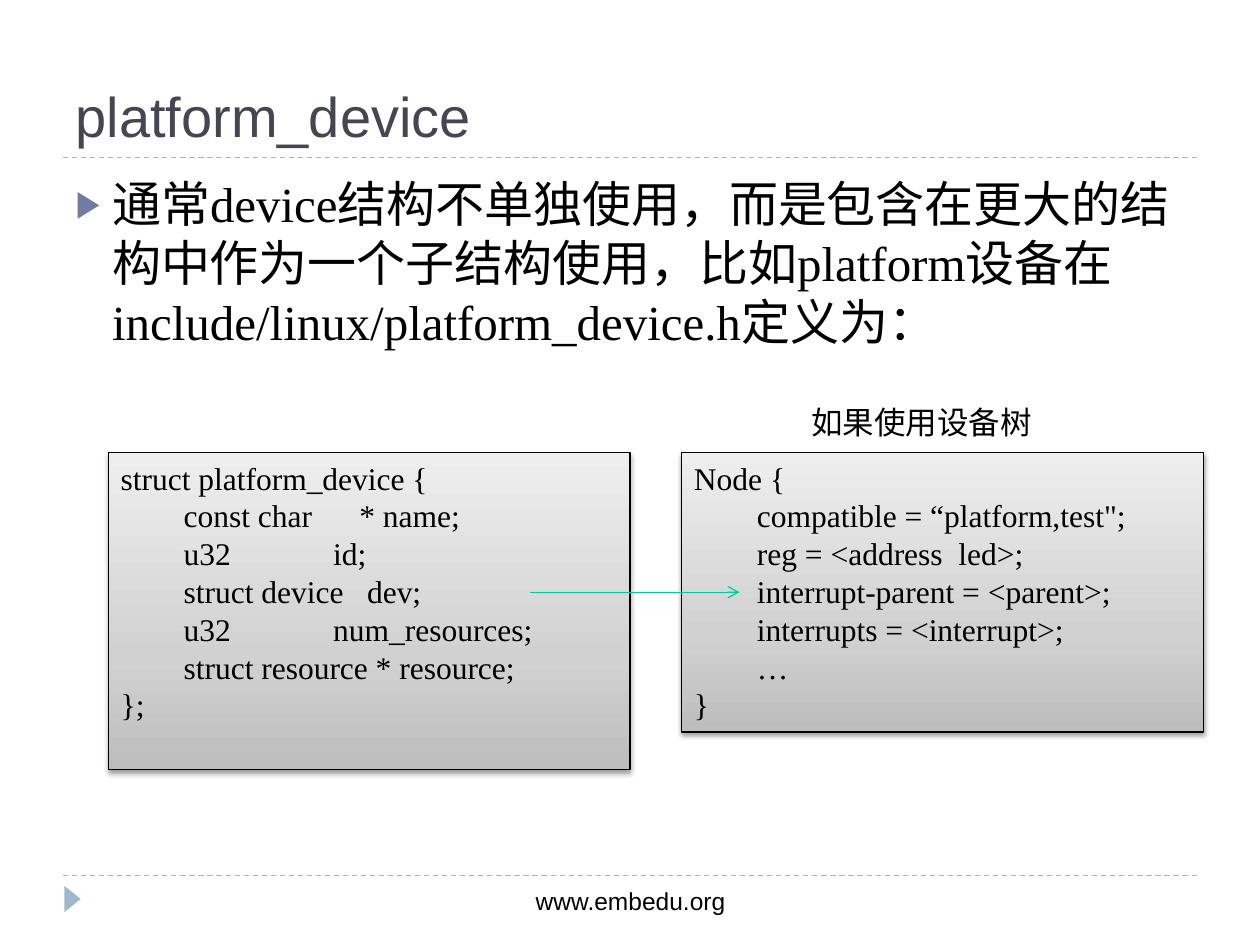
import pptx
import pptx.dml.color
import pptx.enum.dml
import pptx.enum.shapes
import pptx.enum.text
import pptx.oxml
import pptx.oxml.ns
import pptx.util

Inches = pptx.util.Inches
Pt = pptx.util.Pt
RGBColor = pptx.dml.color.RGBColor
SHAPE = pptx.enum.shapes.MSO_SHAPE
LINE = pptx.enum.shapes.MSO_CONNECTOR.STRAIGHT
ALIGN = pptx.enum.text.PP_ALIGN
ANCHOR = pptx.enum.text.MSO_ANCHOR
FIT = pptx.enum.text.MSO_AUTO_SIZE

BLACK = RGBColor(0x00, 0x00, 0x00)
SLATE = RGBColor(0x46, 0x46, 0x53)
PALE = RGBColor(0x9F, 0xB8, 0xCD)
GREEN = RGBColor(0x00, 0xCC, 0x99)
BULLET = RGBColor(0x72, 0x7C, 0xA3)
SHADES = [(0, RGBColor(0xBD, 0xBD, 0xBD)), (35, RGBColor(0xD1, 0xD1, 0xD1)),
          (100, RGBColor(0xEE, 0xEE, 0xEE))]

TITLE = "platform_device"
BODY = ("通常device结构不单独使用，而是包含在更大的结构中作为一个子结构使用，"
        "比如platform设备在include/linux/platform_device.h定义为：")
NOTE = "如果使用设备树"
SITE = "www.embedu.org"
STRUCT = [
    "struct platform_device {",
    "        const char      * name;",
    "        u32             id;",
    "        struct device   dev;",
    "\tu32             num_resources;",
    "        struct resource * resource;",
    "};",
]
NODE = [
    "Node {",
    "\tcompatible = “platform,test\";",
    "\treg = <address  led>;",
    "\tinterrupt-parent = <parent>;",
    "\tinterrupts = <interrupt>;",
    "\t…",
    "}",
]
BOXES = [((0.86, 3.59, 4.14, 2.52), STRUCT), ((5.41, 3.59, 4.14, 2.22), NODE)]
RULES = [1.25, 6.95]

HEAD = {"size": Pt(32), "name": "Arial"}
LEAD = {"size": Pt(28), "name": "Times New Roman"}
CODE = {"size": Pt(18), "name": "Times New Roman"}
LABEL = {"size": Pt(18), "name": "Arial"}
FOOT = {"size": Pt(14), "name": "Arial"}


def make(tag):
    return pptx.oxml.parse_xml(
        tag.replace(">", " " + pptx.oxml.ns.nsdecls("a") + ">", 1)
        if not tag.split(">")[0].endswith("/")
        else tag.replace("/>", " " + pptx.oxml.ns.nsdecls("a") + "/>", 1))


def place(shape, spot):
    for name, value in zip(("left", "top", "width", "height"), spot):
        setattr(shape, name, Inches(value))


def write(shape, lines, style, color=BLACK, align=ALIGN.LEFT,
          anchor=ANCHOR.TOP, wrap=True, extra=()):
    frame = shape.text_frame
    for name, value in {"word_wrap": wrap, "auto_size": FIT.NONE,
                        "vertical_anchor": anchor}.items():
        setattr(frame, name, value)
    for num, line in enumerate(lines):
        para = frame.add_paragraph() if num else frame.paragraphs[0]
        para.text = line
        para.alignment = align
        para.space_before = Pt(0)
        props = para._p.get_or_add_pPr()
        for tag in extra:
            props.append(make(tag))
        for name, value in style.items():
            setattr(para.runs[0].font, name, value)
        para.runs[0].font.color.rgb = color
    return frame


def draw(slide, start, end, color, dash=None):
    line = slide.shapes.add_connector(LINE, *map(Inches, start + end))
    line.line.color.rgb = color
    line.line.width = Pt(0.75)
    if dash:
        line.line.dash_style = dash
    line._element.spPr.append(make("<a:effectLst/>"))
    return line


def panel(slide, spot, lines):
    box = slide.shapes.add_shape(SHAPE.RECTANGLE, *map(Inches, spot))
    box.line.color.rgb = BLACK
    box.line.width = Pt(0.75)
    stops = "".join(
        f'<a:gs pos="{pos * 1000}"><a:srgbClr val="{color}"/></a:gs>'
        for pos, color in SHADES)
    props = box._element.spPr
    props.insert(2, make(f'<a:gradFill><a:gsLst>{stops}</a:gsLst>'
                         '<a:lin ang="16200000" scaled="0"/></a:gradFill>'))
    props.append(make(
        '<a:effectLst><a:outerShdw blurRad="39370" dist="20320" dir="5400000" '
        'rotWithShape="0"><a:srgbClr val="000000"><a:alpha val="38000"/>'
        '</a:srgbClr></a:outerShdw></a:effectLst>'))
    write(box, lines, CODE,
          extra=['<a:tabLst><a:tab pos="457200" algn="l"/></a:tabLst>'])


def main():
    deck = pptx.Presentation()
    deck.slide_width, deck.slide_height = Inches(10), Inches(7.5)
    slide = deck.slides.add_slide(deck.slide_layouts[1])
    title, body = slide.placeholders

    for level in RULES:
        draw(slide, (0.5, level), (9.5, level), PALE,
             pptx.enum.dml.MSO_LINE.DASH)
    mark = slide.shapes.add_shape(SHAPE.ISOSCELES_TRIANGLE,
                                  *map(Inches, (0.47, 7.07, 0.21, 0.13)))
    mark.rotation = 90
    mark.shadow.inherit = False
    mark.fill.solid()
    mark.fill.fore_color.rgb = PALE
    mark.line.fill.background()

    foot = slide.shapes.add_textbox(*map(Inches, (3.42, 6.98, 3.17, 0.52)))
    write(foot, [SITE], FOOT, align=ALIGN.CENTER)

    place(title, (0.5, 0.16, 8.99, 1.07))
    write(title, [TITLE], HEAD, SLATE, anchor=ANCHOR.BOTTOM)
    place(body, (0.5, 1.33, 8.99, 1.48))
    frame = write(body, [BODY], LEAD, extra=[
        f'<a:buClr><a:srgbClr val="{BULLET}"/></a:buClr>',
        '<a:buSzPct val="76000"/>', '<a:buFont typeface="Arial"/>',
        '<a:buChar char="▶"/>'])
    props = frame.paragraphs[0]._p.get_or_add_pPr()
    props.set("marL", str(Inches(0.29)))
    props.set("indent", str(Inches(-0.29)))

    for spot, lines in BOXES:
        panel(slide, spot, lines)
    note = slide.shapes.add_textbox(*map(Inches, (6.34, 3.15, 1.97, 0.4)))
    write(note, [NOTE], LABEL, wrap=False)

    arrow = draw(slide, (4.21, 4.7), (5.87, 4.7), GREEN)
    arrow.line._get_or_add_ln().append(make('<a:tailEnd type="arrow"/>'))
    deck.save("out.pptx")


if __name__ == "__main__":
    main()
